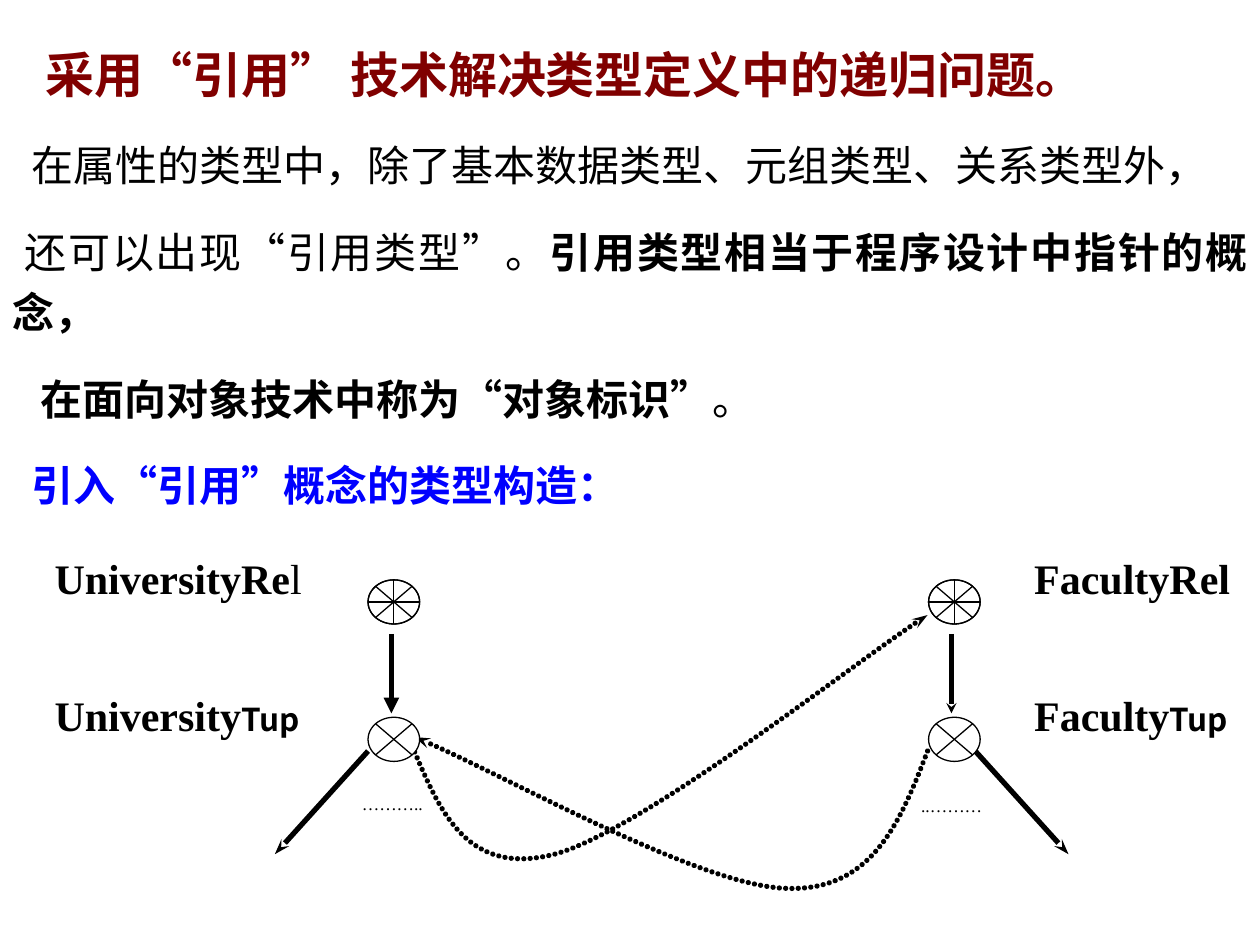
import itertools

import pptx
import pptx.dml.color
import pptx.enum.lang
import pptx.enum.shapes
import pptx.enum.text
import pptx.oxml
import pptx.oxml.ns
import pptx.util
from pptx.util import Cm, Pt

COLORS = {"title": "800000", "text": "000000", "accent": "0000FF", "white": "FFFFFF"}
CJK, SERIF = "Noto Sans CJK SC", "Times New Roman"
SHAPES = pptx.enum.shapes.MSO_SHAPE
ALIGN = pptx.enum.text.PP_ALIGN

# Content: (first-line indent in cm, [(text, format), ...])
BODY = [
    (0.67, [("采用“引用” 技术解决类型定义中的递归问题。",
             dict(size=28, bold=True, color="title"))]),
    (0.38, [("在属性的类型中，除了基本数据类型、元组类型、关系类型外，", {})]),
    (0.25, [("还可以出现“引用类型”。", {}),
            ("引用类型相当于程序设计中指针的概念，", dict(bold=True))]),
    (0.57, [("在面向对象技术中称为“对象标识”", dict(bold=True)), ("。", {})]),
    (0.38, [("引入“引用”概念的类型构造：", dict(bold=True, color="accent"))]),
]

# Diagram labels: (left, top, width in cm, alignment, runs)
NAME = dict(font=SERIF, bold=True)
TUP = ("Tup", dict(size=18, bold=True))
DOTS = dict(font=SERIF, size=10)
REL_TOP, TUP_TOP = 11.01, 13.78
LABELS = [
    (0.85, REL_TOP, 5.64, ALIGN.JUSTIFY, [("UniversityRe", NAME), ("l", dict(font=SERIF))]),
    (0.85, TUP_TOP, 5.64, ALIGN.JUSTIFY, [("University", NAME), TUP]),
    (20.6, REL_TOP, 5.64, ALIGN.JUSTIFY, [("FacultyRel", NAME)]),
    (20.6, TUP_TOP, 5.64, ALIGN.JUSTIFY, [("Faculty", NAME), TUP]),
    (6.5, 15.86, 2.82, ALIGN.CENTER, [("………..", DOTS)]),
    (16.67, 15.9, 5.03, ALIGN.CENTER, [("..………", DOTS)]),
]

# Diagram geometry in cm
NODE_W, NODE_H = 1.04, 0.89
NODE_LEFTS = (7.42, 18.72)
REL_NODE, TUP_NODE = 11.69, 14.46
SOLID_HEAD = dict(type="triangle")
SMALL_HEAD = dict(type="stealth", w="sm", len="sm")
SLIM_HEAD = dict(type="stealth", w="sm", len="med")
ARROWS = [
    ((7.89, 12.78), (7.89, 14.38), SOLID_HEAD),
    ((19.18, 12.78), (19.18, 14.38), SMALL_HEAD),
    ((7.42, 15.14), (5.54, 17.22), SLIM_HEAD),
    ((19.66, 15.14), (21.54, 17.22), SLIM_HEAD),
]
REFERENCES = [  # start, then control, control, end for each Bezier segment
    [(8.36, 15.16), (8.89, 16.41), (9.45, 17.67), (11.18, 17.22),
     (12.9, 16.76), (17.45, 13.18), (18.7, 12.4)],
    [(18.7, 15.14), (18.16, 16.54), (17.6, 17.96), (15.88, 17.91),
     (14.15, 17.88), (9.93, 15.49), (8.36, 14.86)],
]


def rgb(name):
    return pptx.dml.color.RGBColor.from_string(COLORS[name])


def child(parent, tag, **attrs):
    el = parent.makeelement(pptx.oxml.ns.qn(tag), attrs)
    parent.append(el)
    return el


def add_text(p, text, font=CJK, size=24, bold=False, color="text"):
    """Add text to p, with curly quotes in the serif Latin face."""
    for is_quote, chars in itertools.groupby(text, lambda c: c in "“”"):
        r = p.add_run()
        r.text = "".join(chars)
        r.font.name = SERIF if is_quote else font
        r.font.size, r.font.bold = Pt(size), bold
        r.font.color.rgb = rgb(color)
        r.font.language_id = pptx.enum.lang.MSO_LANGUAGE_ID.SIMPLIFIED_CHINESE
        child(r.font._element, "a:ea", typeface=CJK)


def add_box(left, top, width, height):
    tf = slide.shapes.add_textbox(Cm(left), Cm(top), Cm(width), Cm(height)).text_frame
    tf.word_wrap = True
    return tf


def style_line(s, head, dotted=False):
    s.line.color.rgb = rgb("text")
    s.line.width = Pt(3)
    ln = s.line._get_or_add_ln()
    if dotted:
        ln.set("cap", "rnd")
        child(child(ln, "a:custDash"), "a:ds", d="100000", sp="20000")
    child(ln, "a:tailEnd", **head)


def add_node(kind, left, top, filled=True):
    s = slide.shapes.add_shape(kind, Cm(left), Cm(top), Cm(NODE_W), Cm(NODE_H))
    s.shadow.inherit = False
    if filled:
        s.fill.solid()
        s.fill.fore_color.rgb = rgb("white")
    else:
        s.fill.background()
    s.line.color.rgb = rgb("text")
    s.line.width = Pt(0.75)


def add_curve(points):
    pts = [(Cm(x), Cm(y)) for x, y in points]
    fb = slide.shapes.build_freeform(*pts[0])
    fb.add_line_segments(pts[1:], close=False)
    s = fb.convert_to_shape()
    s.shadow.inherit = False
    s.fill.background()
    # Turn every three line segments into one cubic segment
    path = s._element.find(".//" + pptx.oxml.ns.qn("a:path"))
    lines = path.findall(pptx.oxml.ns.qn("a:lnTo"))
    for i in range(0, len(lines), 3):
        cubic = child(path, "a:cubicBezTo")
        for line in lines[i:i + 3]:
            cubic.append(line[0])
            path.remove(line)
    style_line(s, SLIM_HEAD, dotted=True)


prs = pptx.Presentation()
prs.slide_width, prs.slide_height = Cm(25.4), Cm(19.05)
slide = prs.slides.add_slide(prs.slide_layouts[6])

# Explanation
tf = add_box(0, 0.53, 25.4, 9.9)
for i, (indent, runs) in enumerate(BODY):
    p = tf.add_paragraph() if i else tf.paragraphs[0]
    p.alignment, p.line_spacing = ALIGN.JUSTIFY, 1.2
    if i:
        p.space_before = Pt(15)
    pPr = p._p.get_or_add_pPr()
    pPr.set("indent", str(Cm(indent)))
    pPr.set("hangingPunct", "0")  # keep the last comma inside the margin
    for text, fmt in runs:
        add_text(p, text, **fmt)

# Arrows within each type, then references between them
for start, end, head in ARROWS:
    s = slide.shapes.add_connector(pptx.enum.shapes.MSO_CONNECTOR.STRAIGHT,
                                   *(Cm(v) for v in start + end))
    style_line(s, head)
    child(s._element.spPr, "a:effectLst")
for points in REFERENCES:
    add_curve(points)

# Relation and tuple nodes
for left in NODE_LEFTS:
    add_node(SHAPES.FLOWCHART_SUMMING_JUNCTION, left, TUP_NODE)
    add_node(SHAPES.FLOWCHART_SUMMING_JUNCTION, left, REL_NODE)
    add_node(SHAPES.FLOWCHART_OR, left, REL_NODE, filled=False)

# Labels
for left, top, width, align, runs in LABELS:
    p = add_box(left, top, width, 2.08).paragraphs[0]
    p.alignment = align
    for text, fmt in runs:
        add_text(p, text, **fmt)

prs.save("out.pptx")
